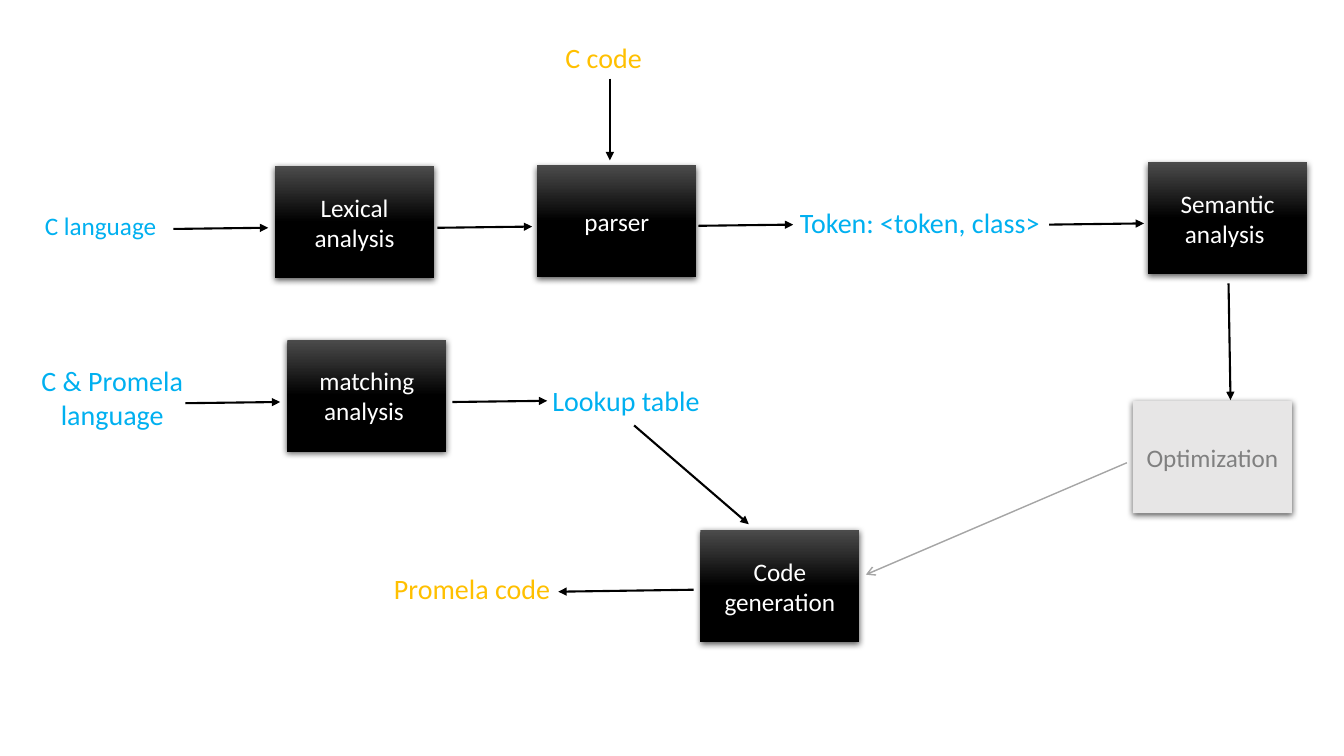
from pptx import Presentation
from pptx import util as u
from pptx.dml.color import RGBColor
from pptx.enum import shapes, text
from pptx.oxml import parse_xml
from pptx.oxml.ns import nsdecls
from lxml import etree

BLACK = RGBColor(0, 0, 0)
CHARCOAL = RGBColor(0x4B, 0x4B, 0x4B)
WHITE = RGBColor(255, 255, 255)
PALE = RGBColor(0xE7, 0xE6, 0xE6)
DIM = RGBColor(0x80, 0x80, 0x80)
SILVER = RGBColor(0xA5, 0xA5, 0xA5)
BLUE = RGBColor(0, 0xB0, 0xF0)
AMBER = RGBColor(0xFF, 0xC0, 0)
FONT = "Calibri"

# Content, in centimetres
STAGE_WIDTH, STAGE_HEIGHT = 4.01, 2.82
stages = [  # wording, left, top, optional stage
    ("Lexical\nanalysis", 6.93, 4.19, False),
    ("parser", 13.54, 4.17, False),
    ("Semantic\nanalysis ", 28.93, 4.09, False),
    ("matching\nanalysis ", 7.24, 8.56, False),
    ("Optimization", 28.55, 10.11, True),
    ("Code\ngeneration", 17.65, 13.36, False),
]
LEFT, CENTER = text.PP_ALIGN.LEFT, text.PP_ALIGN.CENTER
data_labels = [  # wording, left, top, width, height, size, colour, alignment, wrap
    ("C code", 14, 0.89, 2.51, 1.12, 20, AMBER, LEFT, True),
    ("C language", 0.86, 5.18, 3.35, 1.02, 18, BLUE, CENTER, False),
    ("Token: <token, class>", 19.91, 5.05, 6.63, 1.12, 20, BLUE, LEFT, True),
    ("C & Promela language", 0.76, 9.04, 4.14, 1.96, 20, BLUE, CENTER, True),
    ("Lookup table", 13.67, 9.53, 4.27, 1.12, 20, BLUE, LEFT, True),
    ("Promela code", 9.68, 14.27, 4.5, 1.12, 20, AMBER, LEFT, True),
]
STEP = (2.39, -0.03)  # run and rise shared by the short arrows
short_flows = [(4.37, 5.77), (11.02, 5.74), (17.6, 5.69), (26.44, 5.66),
               (4.67, 10.16), (11.4, 10.13)]
flows = [(x, y, x + STEP[0], y + STEP[1]) for x, y in short_flows] + [
    (15.37, 1.98, 15.37, 4.04),    # C code to parser
    (30.96, 7.14, 31.01, 10.08),   # semantic analysis to optimization
    (15.98, 10.72, 18.87, 13.21),  # lookup table to code generation
    (17.48, 14.86, 14.07, 14.91),  # code generation to Promela code
]
optional_flow = (28.4, 11.66, 21.82, 14.48)

SHADOW = (f'<a:outerShdw {nsdecls("a")} blurRad="57150" dist="19050" dir="5400000" '
          'algn="ctr" rotWithShape="0"><a:srgbClr val="000000">'
          '<a:alpha val="63000"/></a:srgbClr></a:outerShdw>')

prs = Presentation()
prs.slide_width, prs.slide_height = u.Cm(33.87), u.Cm(19.05)
slide = prs.slides.add_slide(prs.slide_layouts[6])


def write(frame, wording, size, color, align):
    frame.text = wording
    for paragraph in frame.paragraphs:
        paragraph.alignment = align
        for run in paragraph.runs:
            run.font.name, run.font.size = FONT, u.Pt(size)
            run.font.color.rgb = color


def add_stage(wording, left, top, optional):
    stage = slide.shapes.add_shape(
        shapes.MSO_SHAPE.RECTANGLE,
        *map(u.Cm, (left, top, STAGE_WIDTH, STAGE_HEIGHT)))
    if optional:
        stage.fill.solid()
        stage.fill.fore_color.rgb = PALE
    else:
        stage.fill.gradient()
        stage.fill.gradient_angle = 270
        for stop, color, position in zip(stage.fill.gradient_stops,
                                         (CHARCOAL, BLACK), (0, 0.5)):
            stop.color.rgb, stop.position = color, position
    stage.line.fill.background()
    stage.shadow.inherit = False
    effects = stage.element.spPr.find("{*}effectLst")
    effects.append(parse_xml(SHADOW))
    stage.text_frame.vertical_anchor = text.MSO_ANCHOR.MIDDLE
    write(stage.text_frame, wording, 18, DIM if optional else WHITE, CENTER)


def add_label(wording, left, top, width, height, size, color, align, wrap):
    label = slide.shapes.add_textbox(*map(u.Cm, (left, top, width, height)))
    label.text_frame.word_wrap = wrap
    label.text_frame.auto_size = text.MSO_AUTO_SIZE.SHAPE_TO_FIT_TEXT
    write(label.text_frame, wording, size, color, align)


def add_flow(ends, color=BLACK, weight=1.5, head="triangle"):
    flow = slide.shapes.add_connector(shapes.MSO_CONNECTOR.STRAIGHT,
                                      *map(u.Cm, ends))
    flow.line.color.rgb, flow.line.width = color, u.Pt(weight)
    line = flow.line._get_or_add_ln()
    namespace = etree.QName(line).namespace
    etree.SubElement(line, f"{{{namespace}}}tailEnd", type=head)
    etree.SubElement(flow.element.spPr, f"{{{namespace}}}effectLst")


# Flow arrows
for ends in flows:
    add_flow(ends)
add_flow(optional_flow, SILVER, 1, "arrow")

# Processing stages
for stage_row in stages:
    add_stage(*stage_row)

# Inputs and outputs
for label_row in data_labels:
    add_label(*label_row)

prs.save("out.pptx")
